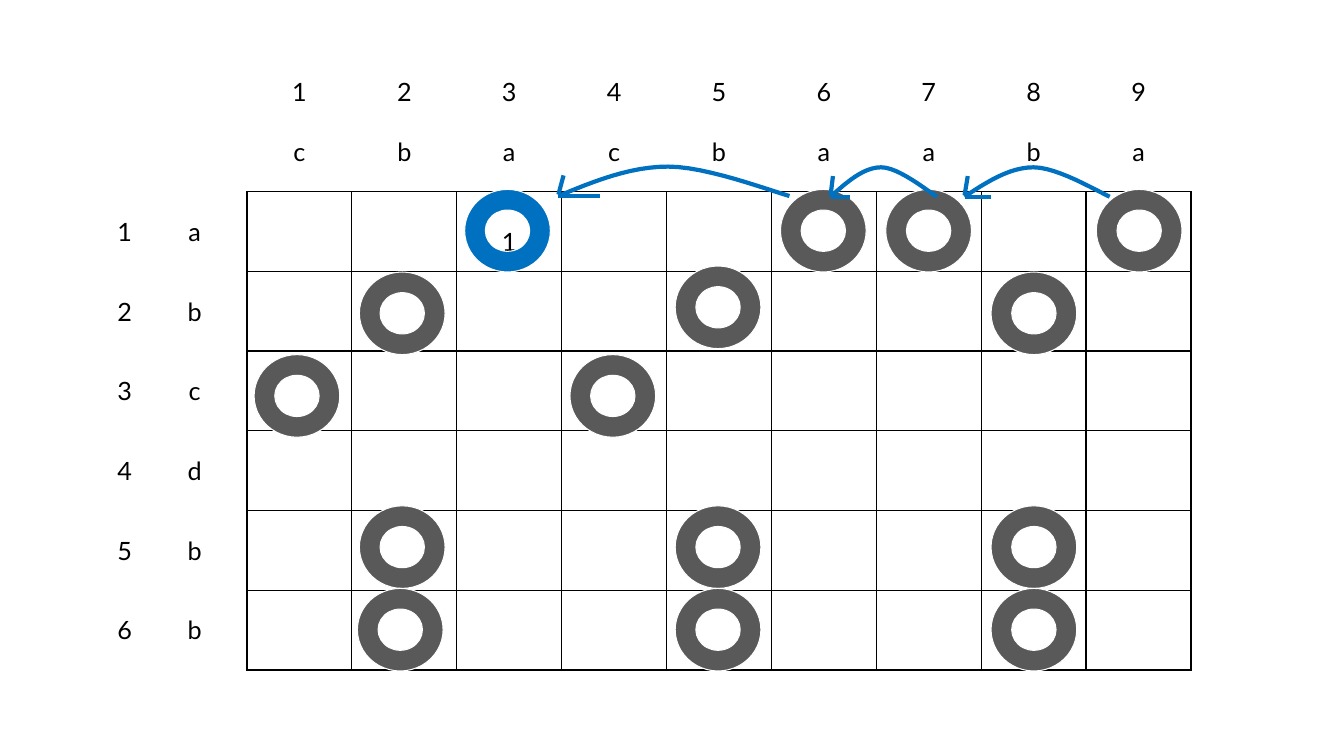
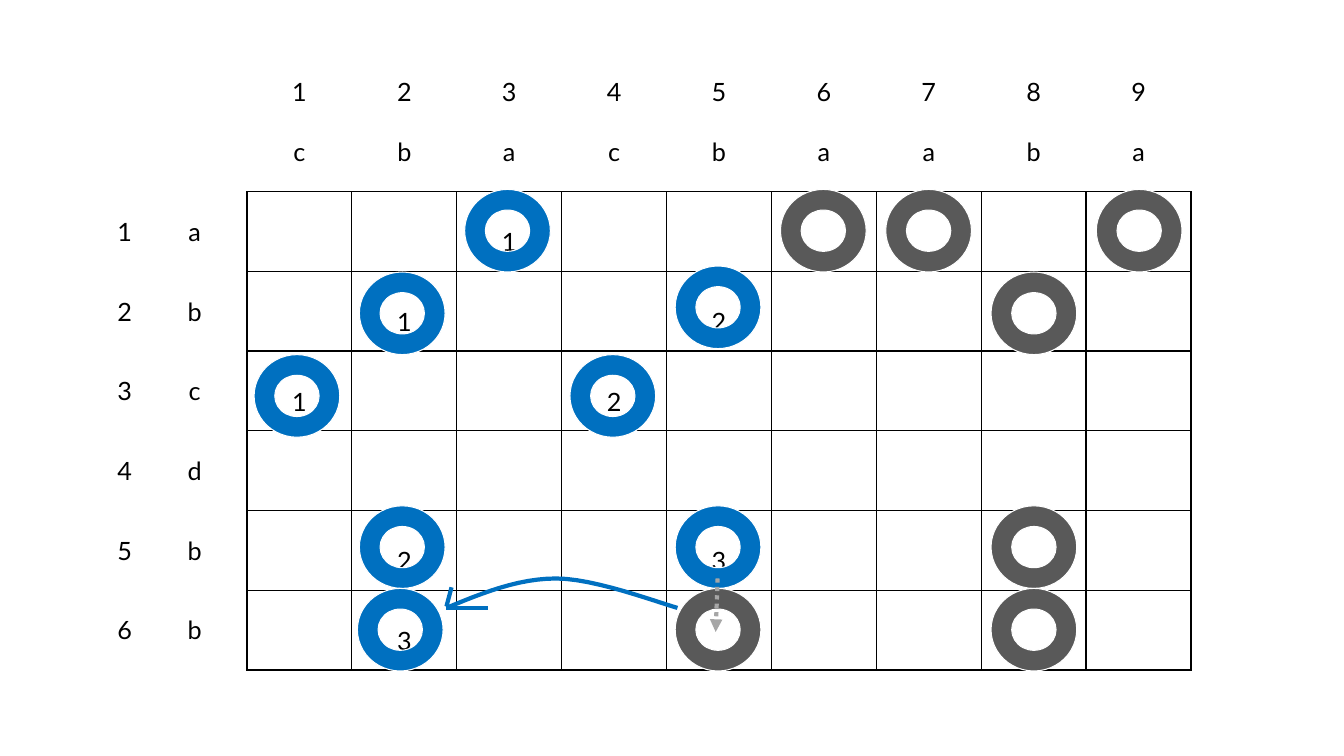
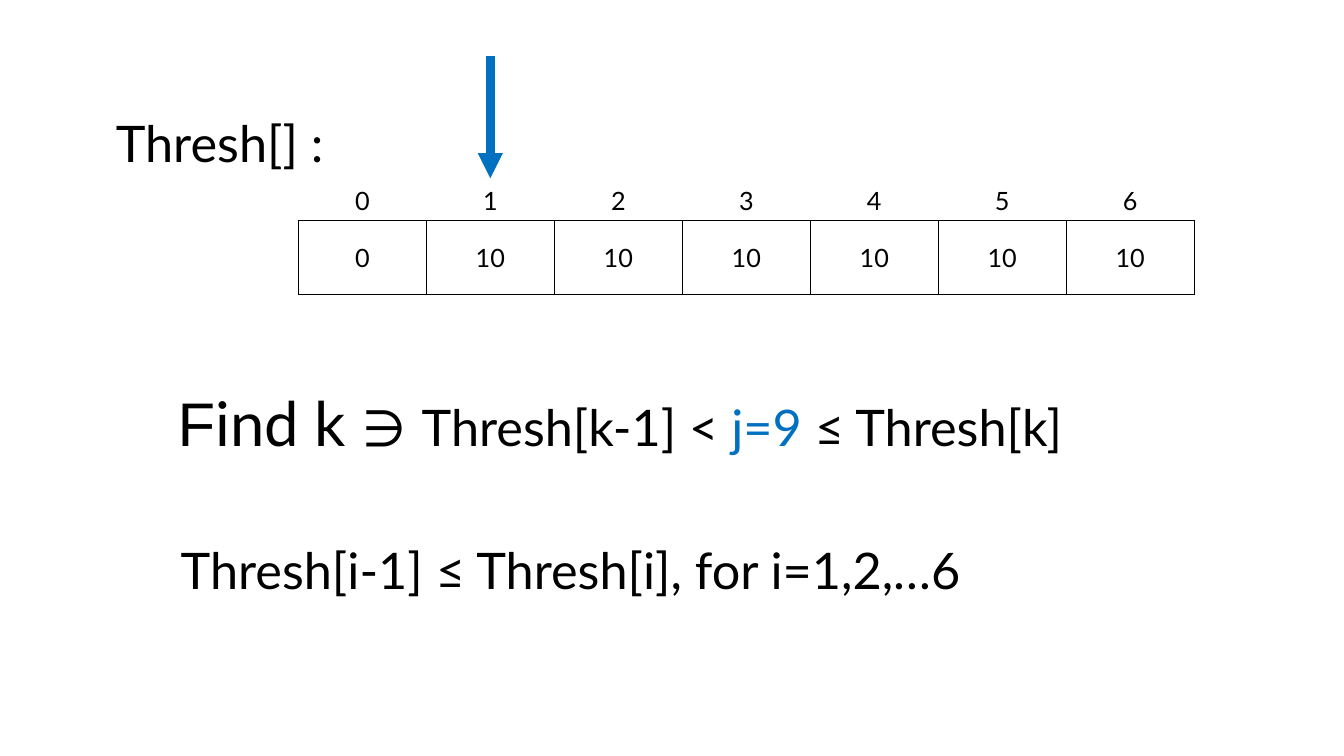
from pptx import Presentation
from pptx.dml.color import RGBColor
from pptx.enum import dml, shapes, text
from pptx.oxml.ns import qn
from pptx.util import Pt
from lxml import etree

BLACK, WHITE, BLUE, GREY, PALE = "000000", "FFFFFF", "0070C0", "595959", "A6A6A6"
FONT = "Lato"
CENTER, RIGHT = text.PP_ALIGN.CENTER, text.PP_ALIGN.RIGHT
TOP, MIDDLE, BOTTOM = (text.MSO_ANCHOR.TOP, text.MSO_ANCHOR.MIDDLE,
                       text.MSO_ANCHOR.BOTTOM)

# The two strings that are compared
ROW_LETTERS, COLUMN_LETTERS = "abcdbb", "cbacbaaba"
MATCH_GRID = (26.6, 23, 824.4, 455.8)
FIRST_DONUT = (154.9, 112.3)
DONUT_SIZE = (61.2, 59)
DONUT_STEP = 75.2
DONUT_TOPS = {1: 0, 2: 59, 3: 118, 5: 226, 6: 285}
NUDGES = {(2, 5): (0, -4.3), (6, 2): (-1.4, 0)}


def rgb(color):
    return RGBColor.from_string(color)


def set_font(font, size, color=BLACK, name=FONT):
    font.size, font.name = Pt(size), name
    font.color.rgb = rgb(color)


def add_line(parent, start, end, color, width, dash=None, arrow=False):
    line = parent.add_connector(shapes.MSO_CONNECTOR.STRAIGHT,
                                *(Pt(v) for v in (*start, *end)))
    line.line.color.rgb = rgb(color)
    line.line.width = Pt(width)
    if dash:
        line.line.dash_style = dash
    properties = line._element.spPr
    if arrow:
        etree.SubElement(properties.find(qn("a:ln")), qn("a:tailEnd"), type="triangle")
    etree.SubElement(properties, qn("a:effectLst"))


# Tables
def set_borders(cell, black_sides):
    properties = cell._tc.get_or_add_tcPr()
    for side in "LRTB":
        edge = etree.SubElement(properties, qn("a:ln" + side), w=str(Pt(1)))
        fill = etree.SubElement(edge, qn("a:solidFill"))
        etree.SubElement(fill, qn("a:srgbClr"),
                         val=BLACK if side in black_sides else WHITE)


def add_grid(slide, box, row_count, column_count, describe):
    """describe(row, column) gives words, alignment, anchor, spacing, black sides."""
    left, top, width, height = box
    grid = slide.shapes.add_table(row_count, column_count, *(Pt(v) for v in box)).table
    grid.first_row = grid.horz_banding = False
    for column in grid.columns:
        column.width = Pt(width / column_count)
    for row in grid.rows:
        row.height = Pt(height / row_count)
    for r in range(row_count):
        for c in range(column_count):
            words, align, anchor, spacing, black_sides = describe(r, c)
            cell = grid.cell(r, c)
            set_borders(cell, black_sides)
            cell.fill.background()
            cell.vertical_anchor = anchor
            paragraph = cell.text_frame.paragraphs[0]
            paragraph.text = words
            paragraph.alignment = align
            paragraph.line_spacing = spacing
            set_font(paragraph.font, 18)


# Match slides
def add_donut(slide, box, color):
    donut = slide.shapes.add_shape(shapes.MSO_SHAPE.DONUT, *(Pt(v) for v in box))
    donut.shadow.inherit = False
    donut.fill.solid()
    donut.fill.fore_color.rgb = rgb(color)
    donut.line.color.rgb = rgb(WHITE)
    donut.line.width = Pt(0.75)


def bezier(points, steps=12):
    for i in range(1, steps + 1):
        t = i / steps
        weights = ((1 - t) ** 3, 3 * t * (1 - t) ** 2, 3 * t * t * (1 - t), t ** 3)
        yield tuple(sum(w * p[axis] for w, p in zip(weights, points)) for axis in (0, 1))


def add_scan_arrow(slide, left, top, width, height=21):
    def at(point):
        return left + point[0] * width, top + point[1] * height

    group = slide.shapes.add_group_shape().shapes
    tip, peak, tail = (0, 1), (0.475, 0), (1, 1)
    halves = ((tip, (0.153, 0.5), (0.31, 0), peak),
              (peak, (0.64, 0), (0.91, 0.8), tail))
    outline = group.build_freeform(*(Pt(v) for v in at(tip)))
    outline.add_line_segments([tuple(Pt(v) for v in at(p))
                               for half in halves for p in bezier(half)], close=False)
    curve = outline.convert_to_shape()
    curve.shadow.inherit = False
    curve.fill.background()
    curve.line.color.rgb = rgb(BLUE)
    curve.line.width = Pt(3)
    # Arrowhead strokes
    add_line(group, at((0.022, 0.3)), at((0, 0.95)), BLUE, 3)
    add_line(group, at(tip), at((0.18, 1)), BLUE, 3)


def match_slide(slide, box, ranks, scan_arrows, next_step=None):
    left, top = box[:2]

    def describe(r, c):
        if r == 0:
            return str(c - 1) if c > 1 else "", CENTER, BOTTOM, None, ""
        if r == 1:
            return (COLUMN_LETTERS[c - 2], CENTER, MIDDLE, None, "B") if c > 1 else (
                "", CENTER, MIDDLE, None, "")
        if c == 0:
            return str(r - 1), RIGHT, MIDDLE, None, ""
        if c == 1:
            return ROW_LETTERS[r - 2], CENTER, MIDDLE, None, "R"
        return ranks.get((r - 1, c - 1), ""), CENTER, TOP, 2.0, "LRTB"

    add_grid(slide, box, len(ROW_LETTERS) + 2, len(COLUMN_LETTERS) + 2, describe)

    # A donut wherever the letters agree, blue once it has a rank
    for r, row_letter in enumerate(ROW_LETTERS, 1):
        for c, column_letter in enumerate(COLUMN_LETTERS, 1):
            if row_letter == column_letter:
                dx, dy = NUDGES.get((r, c), (0, 0))
                x = left + FIRST_DONUT[0] + (c - 1) * DONUT_STEP + dx
                y = top + FIRST_DONUT[1] + DONUT_TOPS[r] + dy
                add_donut(slide, (x, y, *DONUT_SIZE), BLUE if (r, c) in ranks else GREY)

    for x, y, width in scan_arrows:
        add_scan_arrow(slide, left + x, top + y, width)
    if next_step:
        start, end = ((left + x, top + y) for x, y in next_step)
        add_line(slide.shapes, start, end, PALE, 3, dml.MSO_LINE.ROUND_DOT, arrow=True)


# Threshold slide
def add_formula(slide, box, parts):
    """Each part is words, size, colour, font."""
    frame = slide.shapes.add_textbox(*(Pt(v) for v in box)).text_frame
    frame.word_wrap = True
    paragraph = frame.paragraphs[0]
    paragraph.alignment = CENTER
    for words, *style in parts:
        run = paragraph.add_run()
        run.text = words
        set_font(run.font, *style)


def threshold_slide(slide, box, values):
    left, top, width, height = box

    def describe(r, c):
        if r == 0:
            return str(c), CENTER, BOTTOM, None, "B"
        return values[c], CENTER, MIDDLE, None, "LRTB"

    add_grid(slide, box, 2, len(values), describe)
    add_formula(slide, (left - 145.5, top - 28.8, 178.6, 51), [("Thresh[] :", 36)])

    # Pointer to the current index
    pointer_x = left + 1.5 * width / len(values)
    add_line(slide.shapes, (pointer_x, top - 65), (pointer_x, top + 22.3), BLUE, 6,
             arrow=True)

    # Search rule and invariant
    add_formula(slide, (left - 125.3, top + 166.3, 710, 60.5), [
        ("F", 44, BLACK, "Arial"), ("ind k ", 44), ("∋", 36), (" ", 44),
        ("Thresh[k-1] < ", 36), ("j=9 ", 36, BLUE), ("≤ Thresh[k]", 36)])
    add_formula(slide, (left - 112.3, top + 276.5, 613.4, 51),
                [("Thresh[i-1] ≤ Thresh[i], for i=1,2,…6", 36)])


def main():
    deck = Presentation()
    deck.slide_width, deck.slide_height = Pt(960), Pt(540)

    def new_slide():
        return deck.slides.add_slide(deck.slide_layouts[6])

    match_slide(new_slide(), MATCH_GRID, {(1, 3): "1"},
                [(662.4, 96.5, 103.7), (566.7, 96.5, 76), (372.3, 96, 165)])
    match_slide(new_slide(), MATCH_GRID,
                {(1, 3): "1", (2, 2): "1", (2, 5): "2", (3, 1): "1", (3, 4): "2",
                 (5, 2): "2", (5, 5): "3", (6, 2): "3"},
                [(292.3, 390.2, 165)], next_step=((486, 390.2), (484.6, 428.4)))
    threshold_slide(new_slide(), (213.1, 105.1, 640, 105.1), ["0"] + ["10"] * 6)
    deck.save("out.pptx")


if __name__ == "__main__":
    main()
